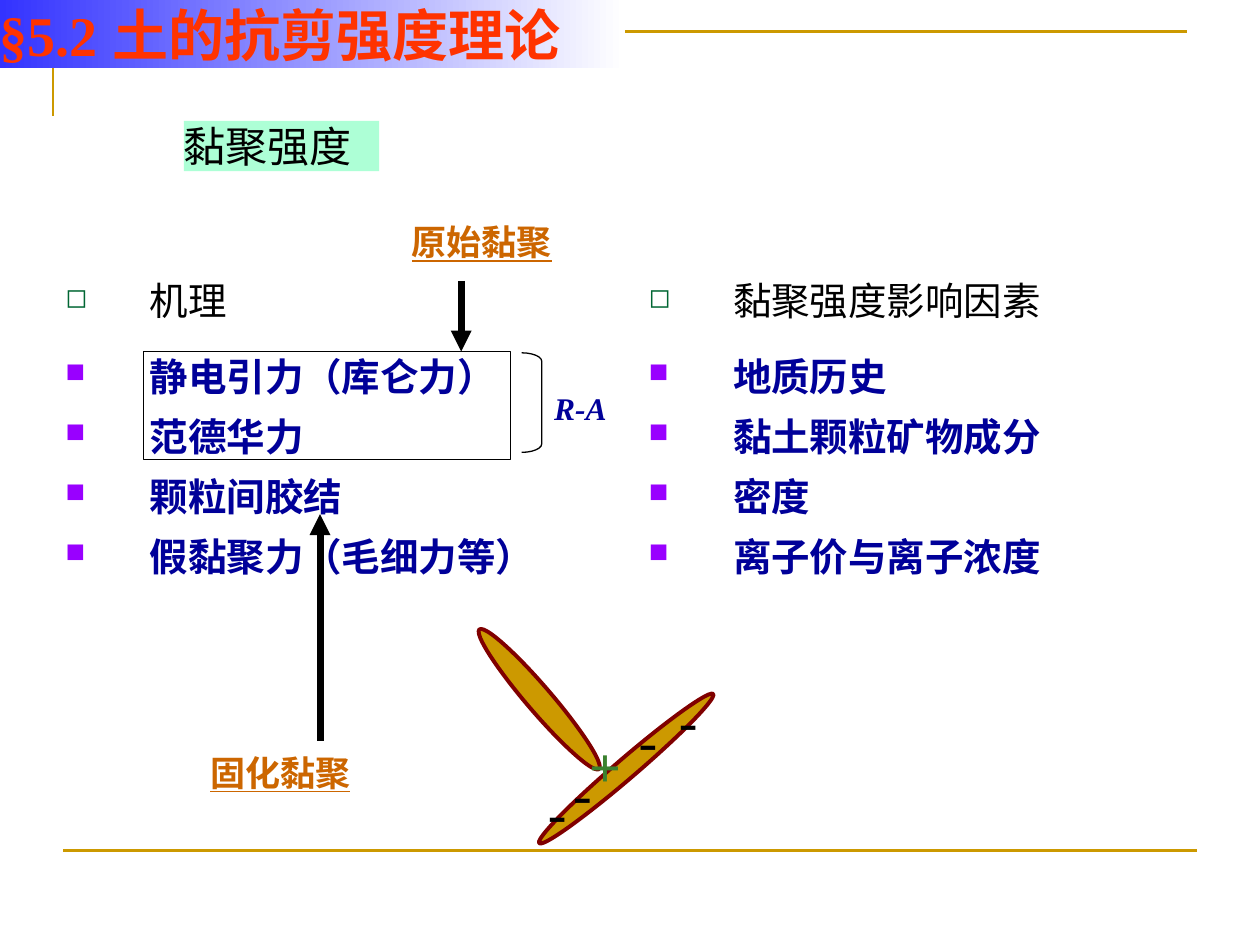
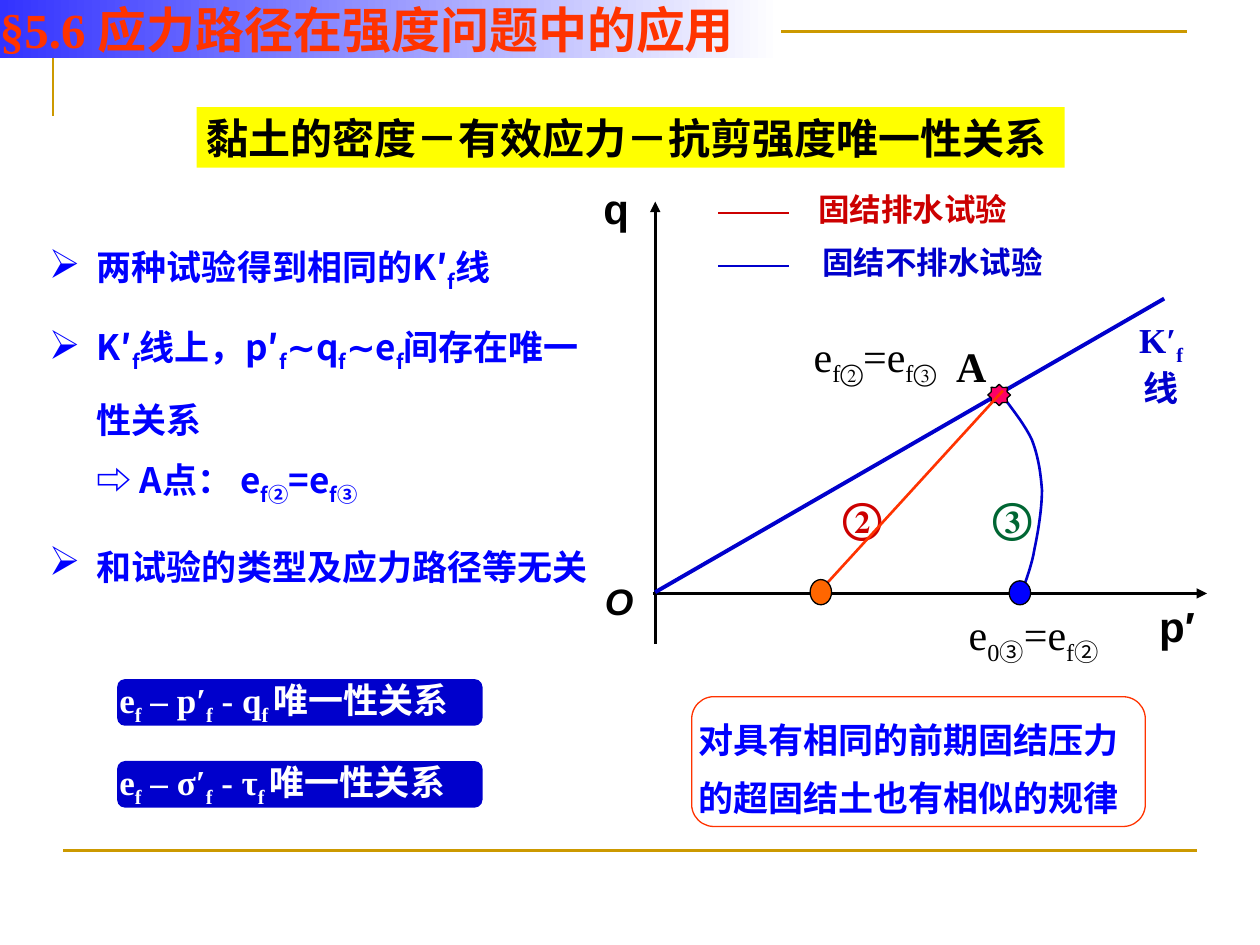
"""Build two soil strength slides: cohesion, and the uniqueness relation of clay."""
import pptx
import pptx.util
import pptx.dml.color
import pptx.enum.shapes
import pptx.enum.text
import pptx.oxml.ns
import lxml.etree

Inches, Pt = pptx.util.Inches, pptx.util.Pt
KIND = pptx.enum.shapes.MSO_SHAPE
ANCHOR = pptx.enum.text.MSO_ANCHOR
ALIGN = pptx.enum.text.PP_ALIGN

SANS, ARIAL, TIMES = "Noto Sans CJK SC", "Arial", "Times New Roman"
GOLD, BLACK, WHITE, NAVY = "CC9900", "000000", "FFFFFF", "000099"
BLUE, DEEP, RED, FLAME = "0000FF", "0000CC", "CC0000", "FF3300"
FRAME = [(0.42, 0.92), (0.42, 0.25), (9.42, 0.25)]

LISTS = [
    ((0.42, 2.04, 4.54, 3.21), "机理",
     ["静电引力（库仑力）", "范德华力", "颗粒间胶结", "假黏聚力（毛细力等）"]),
    ((5.05, 2.04, 4.23, 3.08), "黏聚强度影响因素",
     ["地质历史", "黏土颗粒矿物成分", "密度", "离子价与离子浓度"]),
]
GRAINS = [((3.55, 5.45, 1.46, 0.2), 49.4), ((4.06, 6.02, 1.82, 0.16), 319.4)]
MINUS = [(4.25, 6.12), (5.29, 5.39), (4.45, 5.97), (4.97, 5.55)]
CAUSES = [("原始黏聚", (3.17, 1.7), (3.66, 2.23), (3.66, 2.79)),
          ("固化黏聚", (1.57, 5.91), (2.54, 5.88), (2.54, 4.08))]

POINTS = ["两种试验得到相同的K′|f|线",
          "K′|f|线上，p′|f|∼q|f|∼e|f|间存在唯一性关系\n⇨ A点： e|f②|=e|f③",
          "和试验的类型及应力路径等无关"]
LAWS = ["e|f| – p′|f| - q|f |唯一性关系", "e|f| – σ′|f| - τ|f |唯一性关系"]
AXES = [((5.2, 5.11), (5.2, 1.6)), ((5.18, 4.71), (9.58, 4.71))]
NAMES = [("p′", (9.09, 4.71, 0.66, 0.51), 24, False),
         ("O", (4.69, 4.53, 0.63, 0.47), 21, True),
         ("q", (4.68, 1.39, 0.63, 0.51), 24, False)]
TESTS = [("固结排水试验", (6.34, 1.45, 1.81, 0.41), 1.69, RED),
         ("固结不排水试验", (6.36, 1.87, 2.08, 0.41), 2.11, DEEP)]
MARKS = [("②", (6.59, 3.85, 0.5, 0.5), RED),
         ("③", (7.78, 3.85, 0.5, 0.5), "006633"),
         ("A", (7.49, 2.65, 0.44, 0.5), BLACK)]
RATIOS = [("e|f②|=e|f③", (6.36, 2.6, 1.5, 0.5)),
          ("e|0~③|=e|f~②", (7.59, 4.81, 1.67, 0.5))]
PATH = [(8.11, 4.7), (8.13, 4.64), (8.19, 4.49), (8.21, 4.36),
        (8.24, 4.22), (8.27, 4.03), (8.27, 3.89),
        (8.26, 3.75), (8.24, 3.62), (8.19, 3.49),
        (8.13, 3.36), (7.99, 3.19), (7.94, 3.12)]
DOTS = [(KIND.STAR_8_POINT, (7.84, 3.05, 0.18, 0.17), "FF0066"),
        (KIND.OVAL, (8.01, 4.61, 0.17, 0.19), BLUE),
        (KIND.OVAL, (6.43, 4.6, 0.17, 0.2), "FF6600")]


def rgb(code):
    return pptx.dml.color.RGBColor.from_string(code)


def node(parent, tag, **attrs):
    return lxml.etree.SubElement(parent, pptx.oxml.ns.qn("a:" + tag), attrs)


def stroke(line, color, width):
    line.color.rgb = rgb(color)
    line.width = Pt(width)


def shape(slide, kind, box, fill=None, edge=None, width=0.75, adj=None):
    item = slide.shapes.add_shape(kind, *map(Inches, box))
    item.shadow.inherit = False
    if fill:
        item.fill.solid()
        item.fill.fore_color.rgb = rgb(fill)
    else:
        item.fill.background()
    if edge:
        stroke(item.line, edge, width)
    else:
        item.line.fill.background()
    if adj is not None:
        item.adjustments[0] = adj
    return item


def line(slide, start, end, color, width, arrow=False):
    item = slide.shapes.add_connector(
        pptx.enum.shapes.MSO_CONNECTOR.STRAIGHT, *map(Inches, start + end))
    stroke(item.line, color, width)
    if arrow:
        node(item.line._get_or_add_ln(), "tailEnd", type="triangle")
    node(item._element.spPr, "effectLst")


def trace(slide, points, color, width):
    spots = [(Inches(x), Inches(y)) for x, y in points]
    build = slide.shapes.build_freeform(*spots[0], scale=1.0)
    build.add_line_segments(spots[1:], close=False)
    item = build.convert_to_shape()
    item.shadow.inherit = False
    item.fill.background()
    stroke(item.line, color, width)


def curve(knots, steps=10):
    points = [knots[0]]
    for at in range(0, len(knots) - 1, 3):
        for step in range(1, steps + 1):
            t = step / steps
            parts = ((1 - t) ** 3, 3 * t * (1 - t) ** 2, 3 * t * t * (1 - t), t ** 3)
            points.append(tuple(sum(w * k[axis] for w, k in zip(parts, knots[at:at + 4]))
                                for axis in (0, 1)))
    return points


def write(para, text, size, color, font=TIMES, bold=False, italic=False, under=False):
    for place, part in enumerate(text.split("|")):
        for turn, piece in enumerate(part.split("~")):
            for row, words in enumerate(piece.split("\n")):
                if row:
                    para.add_line_break()
                if not words:
                    continue
                run = para.add_run()
                run.text = words
                face = run.font
                face.name = SANS if turn else font
                face.size, face.color.rgb = Pt(size), rgb(color)
                face.bold, face.italic, face.underline = bold, italic, under
                props = run._r.get_or_add_rPr()
                node(props, "ea", typeface=SANS)
                if place % 2:
                    props.set("baseline", "-25000")


def setup(item, inset=(0.1, 0.05), anchor=ANCHOR.MIDDLE, wrap=True):
    frame = item.text_frame
    frame.margin_left = frame.margin_right = Inches(inset[0])
    frame.margin_top = frame.margin_bottom = Inches(inset[1])
    frame.vertical_anchor = anchor
    frame.word_wrap = wrap
    frame.paragraphs[0].alignment = ALIGN.LEFT
    return frame


def label(slide, text, box, size, color, wrap=False, anchor=ANCHOR.MIDDLE,
          inset=(0.1, 0.05), center=False, **style):
    item = slide.shapes.add_textbox(*map(Inches, box))
    para = setup(item, inset, anchor, wrap).paragraphs[0]
    if center:
        para.alignment = ALIGN.CENTER
    write(para, text, size, color, **style)


def panel(item, text, size, color, inset=(0, 0), **style):
    write(setup(item, inset).paragraphs[0], text, size, color, **style)


def bullet(para, char, indent, percent, color=None):
    props = para._p.get_or_add_pPr()
    props.set("marL", str(Inches(indent)))
    props.set("indent", str(-Inches(indent)))
    if color:
        node(node(props, "buClr"), "srgbClr", val=color)
    node(props, "buSzPct", val=str(percent * 1000))
    node(props, "buChar", char=char)


def lines(slide, box, count):
    item = slide.shapes.add_textbox(*map(Inches, box))
    frame = setup(item, anchor=ANCHOR.TOP)
    for _ in range(count - 1):
        frame.add_paragraph()
    return frame.paragraphs


def start(deck):
    slide = deck.slides.add_slide(deck.slide_layouts[6])
    trace(slide, FRAME, GOLD, 1.5)
    line(slide, (0.5, 6.75), (9.5, 6.75), GOLD, 1.5)
    return slide


def title(slide, text, width, height, size):
    band = shape(slide, KIND.RECTANGLE, (0, 0, width, height))
    band.fill.gradient()
    band.fill.gradient_angle = 0
    for stop, spot, color in zip(band.fill.gradient_stops, (0, 1), ("3333FF", WHITE)):
        stop.position = spot
        stop.color.rgb = rgb(color)
    panel(band, text, size, FLAME, bold=True)


def cohesion(deck):
    slide = start(deck)
    panel(shape(slide, KIND.RECTANGLE, (1.46, 0.96, 1.55, 0.4), "ADFFD6"),
          "黏聚强度", 24, BLACK, font=SANS)
    for box, head, items in LISTS:
        first, *rest = lines(slide, box, len(items) + 1)
        bullet(first, "◻", 0.67, 70, "006633")
        first.space_after = Pt(9)
        write(first, head, 22, BLACK, font=ARIAL)
        for para, text in zip(rest, items):
            bullet(para, "■", 0.67, 70, "9900FF")
            write(para, text, 22, NAVY, font=ARIAL, bold=True)
        for para in (first, *rest):
            para.line_spacing = Pt(34.3)
    for box, turn in GRAINS:
        shape(slide, KIND.OVAL, box, GOLD, "800000", 2.25).rotation = turn
    for x, y in MINUS:
        label(slide, "-", (x, y, 0.39, 0.4), 32, BLACK, anchor=ANCHOR.TOP)
    label(slide, "+", (4.58, 5.76, 0.39, 0.4), 32, "3B812F", anchor=ANCHOR.TOP, bold=True)
    shape(slide, KIND.RECTANGLE, (1.14, 2.79, 2.91, 0.86), edge=BLACK)
    for text, spot, tail, tip in CAUSES:
        line(slide, tail, tip, BLACK, 4, arrow=True)
        label(slide, text, spot + (1.32, 0.44), 20, "CC6600",
              font=ARIAL, bold=True, under=True)
    shape(slide, KIND.RIGHT_BRACKET, (4.14, 2.8, 0.16, 0.79), edge=BLACK, adj=0.42)
    label(slide, "R-A", (4.3, 3.04, 0.62, 0.4), 18, NAVY, bold=True, italic=True)
    title(slide, "§5.2 土的抗剪强度理论", 4.96, 0.54, 32)


def unique(deck):
    slide = start(deck)
    for at, (para, text) in enumerate(zip(lines(slide, (0.29, 1.75, 4.68, 2.83), 3), POINTS)):
        bullet(para, "➢", 0.38, 115, BLUE)
        para.line_spacing, para.space_after = Pt(38), Pt(4)
        if at:
            para.space_before = Pt(4)
        write(para, text, 20, BLUE, font=SANS, bold=True)
    for row, text in enumerate(LAWS):
        panel(shape(slide, KIND.ROUNDED_RECTANGLE, (0.93, 5.39 + 0.65 * row, 2.9, 0.37),
                    DEEP, adj=0.17), text, 20, WHITE, bold=True)
    panel(shape(slide, KIND.RECTANGLE, (1.56, 0.85, 6.89, 0.48), "FFFF00"),
          "黏土的密度－有效应力－抗剪强度唯一性关系", 24, BLACK, (0.08, 0.04), bold=True)
    for tail, tip in AXES:
        line(slide, tail, tip, BLACK, 1.5, arrow=True)
    for text, box, size, slant in NAMES:
        label(slide, text, box, size, BLACK, inset=(0.11, 0.06),
              font=ARIAL, bold=True, italic=slant)
    line(slide, (5.2, 4.7), (9.24, 2.37), DEEP, 2.25)
    label(slide, "K′|f|线", (8.84, 2.47, 0.75, 0.8), 20, DEEP, wrap=True,
          anchor=ANCHOR.TOP, inset=(0.11, 0.06), center=True, bold=True)
    trace(slide, curve(PATH), DEEP, 1.5)
    for text, box, y, color in TESTS:
        label(slide, text, box, 18, color, wrap=True, center=True, bold=True)
        line(slide, (5.7, y), (6.26, y), color, 1.5)
    for text, box in RATIOS:
        label(slide, text, box, 24, BLACK)
    for text, box, color in MARKS:
        label(slide, text, box, 24, color, bold=True)
    star, *ends = DOTS
    shape(slide, star[0], star[1], star[2], BLACK, adj=0.38)
    trace(slide, [(6.49, 4.71), (7.96, 3.1)], FLAME, 1.5)
    for kind, box, color in ends:
        shape(slide, kind, box, color, BLACK)
    note = shape(slide, KIND.ROUNDED_RECTANGLE, (5.49, 5.53, 3.6, 1.03), edge=FLAME, adj=0.17)
    para = setup(note, (0, 0), ANCHOR.TOP).paragraphs[0]
    para.line_spacing = Pt(33)
    write(para, "对具有相同的前期固结压力的超固结土也有相似的规律", 20, BLUE,
          font=SANS, bold=True)
    title(slide, "§5.6 应力路径在强度问题中的应用", 6.2, 0.46, 28)


def main():
    deck = pptx.Presentation()
    deck.slide_width, deck.slide_height = Inches(10), Inches(7.5)
    cohesion(deck)
    unique(deck)
    deck.save("out.pptx")


if __name__ == "__main__":
    main()
